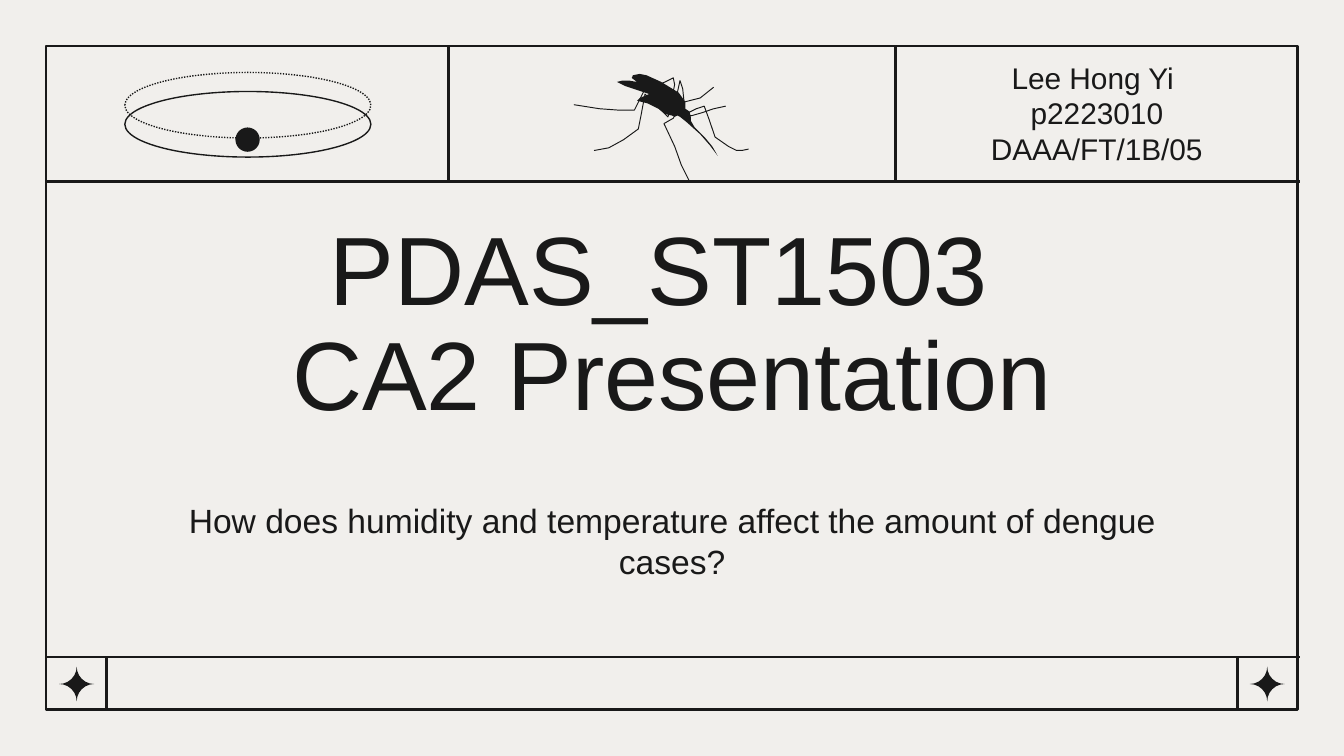
import pptx
import pptx.util
import pptx.dml.color
import pptx.enum.dml
import pptx.enum.shapes
import pptx.enum.text
from lxml import etree

Cm, Pt = pptx.util.Cm, pptx.util.Pt
Kind = pptx.enum.shapes.MSO_SHAPE


class Theme:
    ink = pptx.dml.color.RGBColor.from_string("191919")
    paper = pptx.dml.color.RGBColor.from_string("F1EFEC")
    font = "Arial"
    title, sub, name = Pt(52), Pt(18), Pt(16)
    rule, ring, leg = Pt(1.5), Pt(0.75), Pt(0.5)


def style(shape, fill=False, line=None):
    """Give a shape an ink fill, an ink outline, or either alone."""
    shape.shadow.inherit = False
    if fill:
        shape.fill.solid()
        shape.fill.fore_color.rgb = Theme.ink
    else:
        shape.fill.background()
    if line:
        shape.line.color.rgb = Theme.ink
        shape.line.width = line
    else:
        shape.line.fill.background()


def write(shape, box, lines, size, space=1.0):
    """Place a text shape and fill it with centred lines."""
    shape.left, shape.top, shape.width, shape.height = [Cm(n) for n in box]
    frame = shape.text_frame
    frame.word_wrap = True
    frame.auto_size = pptx.enum.text.MSO_AUTO_SIZE.NONE
    frame.vertical_anchor = pptx.enum.text.MSO_ANCHOR.MIDDLE
    frame.margin_left = frame.margin_right = Cm(0.25)
    frame.margin_top = frame.margin_bottom = Cm(0.25)
    for i, line in enumerate(lines):
        para = frame.add_paragraph() if i else frame.paragraphs[0]
        para.alignment = pptx.enum.text.PP_ALIGN.CENTER
        para.line_spacing = space
        run = para.add_run()
        run.text = line
        run.font.name = Theme.font
        run.font.size = size
        run.font.color.rgb = Theme.ink


deck = pptx.Presentation()
deck.slide_width, deck.slide_height = Cm(25.4), Cm(14.29)
slide = deck.slides.add_slide(deck.slide_layouts[5])
slide.background.fill.solid()
slide.background.fill.fore_color.rgb = Theme.paper
shapes = slide.shapes

# Frame and rules
frame = shapes.add_shape(Kind.RECTANGLE, Cm(0.87), Cm(0.87), Cm(23.65), Cm(12.55))
style(frame, line=Theme.rule)
left, right, top, head, foot, base = 0.89, 24.56, 0.89, 3.43, 12.42, 13.41
rules = [(left, y, right, y) for y in (head, foot)]
rules += [(x, top, x, head) for x in (8.47, 16.93)]
rules += [(x, foot, x, base) for x in (2.01, 23.39)]
for ends in rules:
    rule = shapes.add_connector(
        pptx.enum.shapes.MSO_CONNECTOR.STRAIGHT, *[Cm(n) for n in ends])
    rule.line.color.rgb = Theme.ink
    rule.line.width = Theme.rule
    etree.SubElement(rule._element.spPr, pptx.oxml.ns.qn("a:effectLst"))

# Corner stars
for x in (1.12, 23.62):
    star = shapes.add_shape(Kind.PLAQUE, Cm(x), Cm(12.6), Cm(0.66), Cm(0.66))
    star.adjustments[0] = 0.5
    style(star, fill=True)

# Title, question and author
write(shapes.title, (2.23, 4.06, 20.95, 4.24),
      ["PDAS_ST1503 ", "CA2 Presentation"], Theme.title, 0.9)
texts = [
    ((2.23, 9.37, 20.95, 1.7), Theme.sub,
     ["How does humidity and temperature affect the amount of dengue cases?"]),
    ((16.93, 1.65, 7.6, 0.97), Theme.name,
     ["Lee Hong Yi ", "p2223010", "DAAA/FT/1B/05"]),
]
for box, size, lines in texts:
    write(shapes.add_textbox(0, 0, 0, 0), box, lines, size)

# Orbit: solid ring, dotted ring, ball
for y, dash in ((1.73, None), (1.37, pptx.enum.dml.MSO_LINE.ROUND_DOT)):
    ring = shapes.add_shape(Kind.OVAL, Cm(2.36), Cm(y), Cm(4.65), Cm(1.24))
    style(ring, line=Theme.ring)
    if dash:
        ring.line.dash_style = dash
ball = shapes.add_shape(Kind.OVAL, Cm(4.45), Cm(2.41), Cm(0.46), Cm(0.46))
style(ball, fill=True)

# Mosquito, in hundredths of an inch: body first, then legs
unit = Cm(0.0254)
body = [(476, 55), (471, 56.5), (470, 58.5), (474, 61), (468, 60), (463, 60),
        (459, 61), (465, 64), (483, 70), (476, 73), (474, 75), (482, 77),
        (490, 81), (495, 85), (500, 86), (502, 87), (504, 86), (506, 87),
        (511, 91), (521, 100), (528, 108), (534, 116), (530, 109), (525, 103),
        (517, 95), (514, 90), (514, 87), (513, 83), (510, 81), (510, 76),
        (505, 69), (492, 61), (481, 56)]
legs = [
    [(442, 111.5), (453, 110), (464, 104), (475, 95.5), (477, 86),
     (480, 70.5), (487, 77), (497, 87), (498, 84.5)],
    [(502, 86), (501, 88), (494.5, 92), (502, 109), (507, 123), (513, 135)],
    [(512, 83.5), (518, 81), (524, 79), (528, 90), (532, 101.5),
     (542, 109), (548, 112), (552, 112.5), (557, 111)],
    [(511, 85.5), (515, 85.5), (522, 83.5), (531, 81), (540, 79)],
    [(504.5, 69), (506, 59.5), (507.5, 66), (509, 76.5), (521, 73), (531, 65)],
    [(487.5, 64.5), (495, 61), (501, 58.5), (501.5, 63), (501, 68)],
    [(427, 77.5), (446, 81), (460, 82.5), (472, 82.5), (480, 66), (486, 69)],
]
bug = shapes.add_group_shape()
for part in [body] + legs:
    solid = part is body
    pen = bug.shapes.build_freeform(*part[0], scale=unit)
    pen.add_line_segments(part[1:], close=solid)
    style(pen.convert_to_shape(), fill=solid, line=None if solid else Theme.leg)

deck.save("out.pptx")
